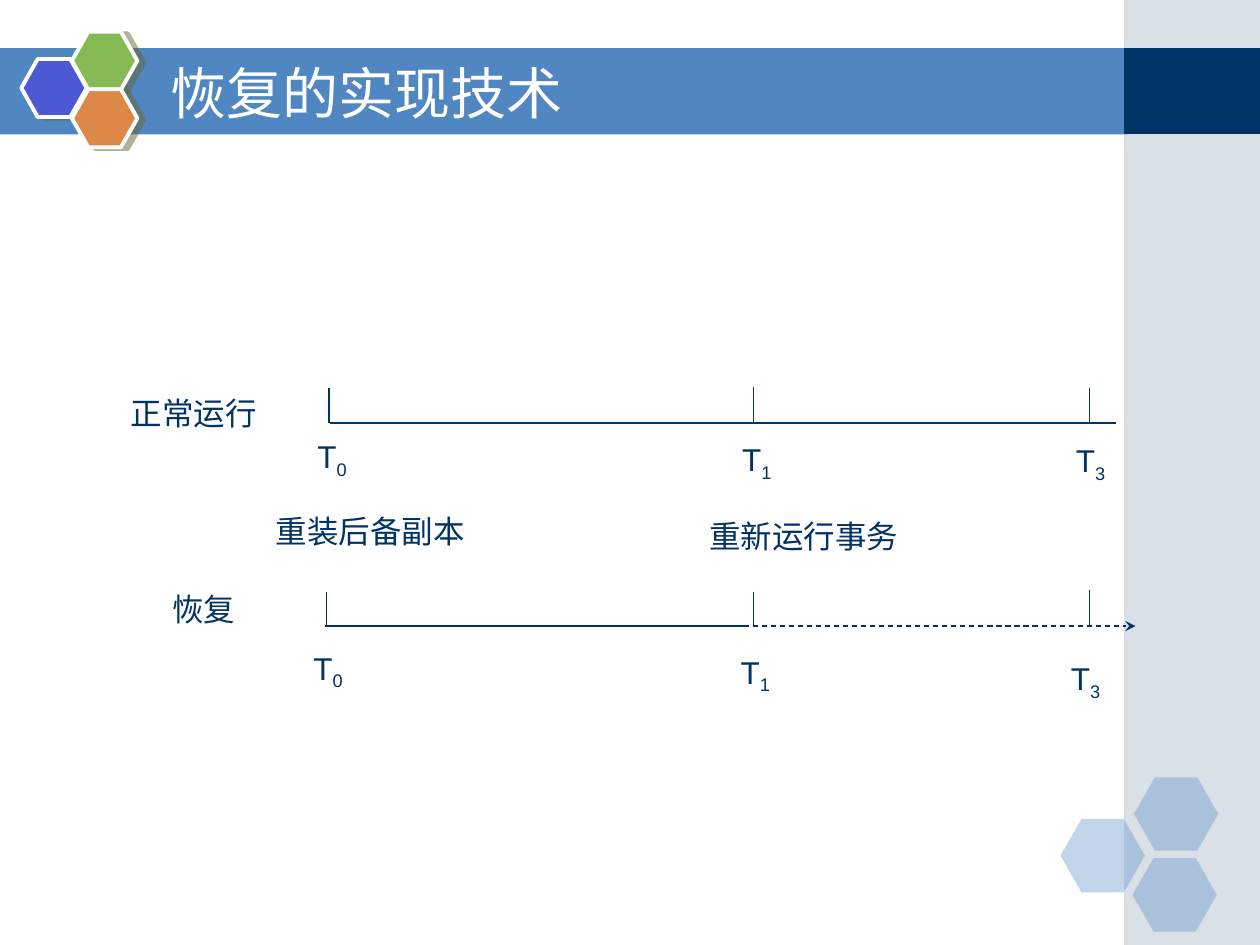
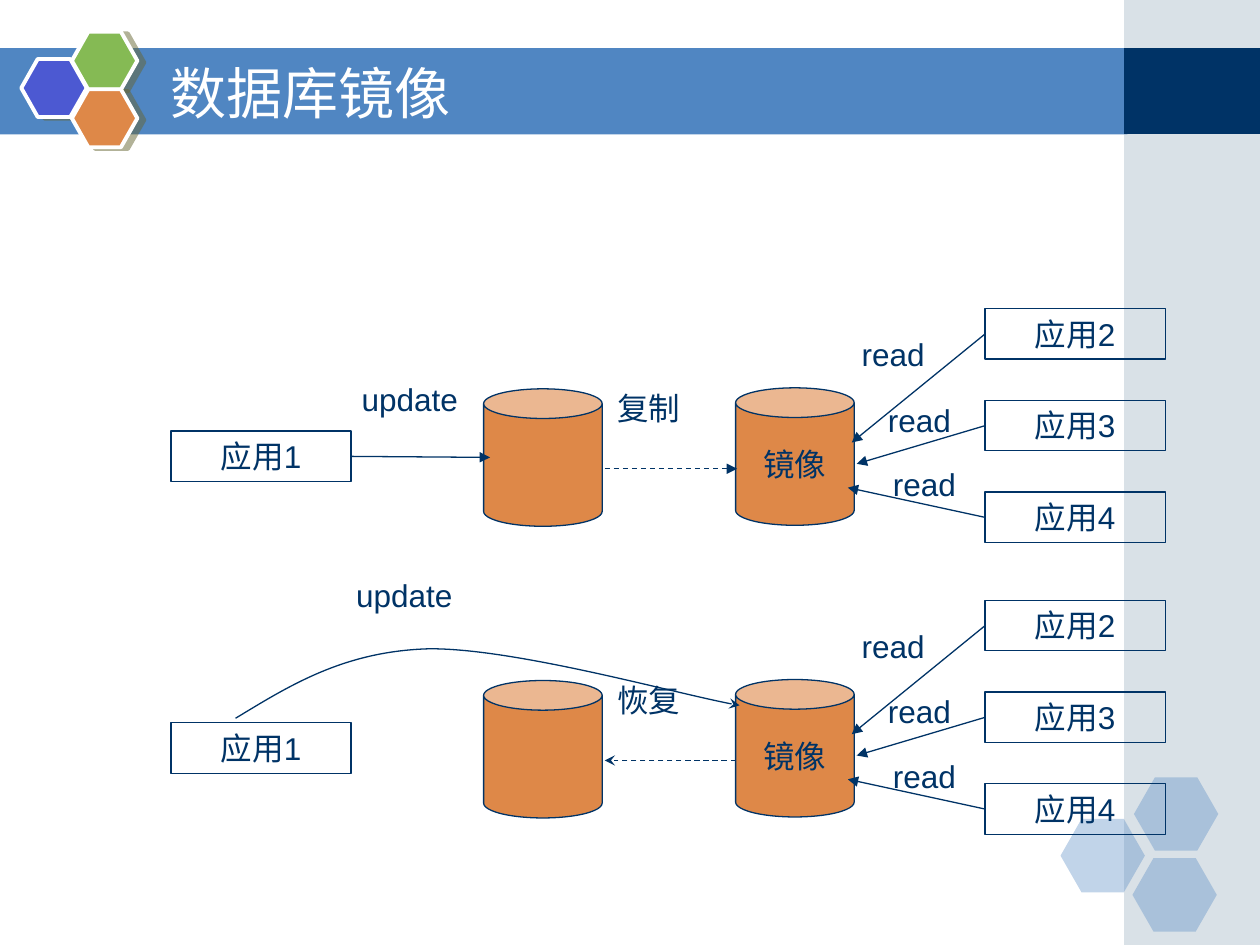
import lxml.etree
import pptx
import pptx.dml.color
import pptx.enum.dml
import pptx.enum.shapes
import pptx.enum.text
import pptx.oxml.ns
import pptx.util

Cm = pptx.util.Cm
Pt = pptx.util.Pt
qn = pptx.oxml.ns.qn
rgb = pptx.dml.color.RGBColor.from_string
SHAPE = pptx.enum.shapes.MSO_SHAPE
STRAIGHT = pptx.enum.shapes.MSO_CONNECTOR.STRAIGHT
ALIGN = pptx.enum.text.PP_ALIGN
ANCHOR = pptx.enum.text.MSO_ANCHOR


class Theme:
    navy = "003366"
    blue = "5086C2"
    mist = "A0B5C4"
    white = "FFFFFF"
    violet = "4C59D2"
    green = "85BA54"
    orange = "DE8848"
    shadow = "666633"
    title_font = "DejaVu Sans"
    body_font = "Arial"
    title_size = Pt(32)
    body_size = Pt(18)
    thin = Pt(0.75)
    thick = Pt(2.25)


def add_block(slide, kind, box, text="", fill=None, opacity=100, outline=None,
              weight=Theme.thin, align=ALIGN.LEFT, anchor=ANCHOR.TOP, subscript=""):
    """Add a preset shape, or a text box if kind is None; box is in centimetres."""
    place = [Cm(length) for length in box]
    if kind is None:
        block = slide.shapes.add_textbox(*place)
    else:
        block = slide.shapes.add_shape(kind, *place)
        block.shadow.inherit = False
        block.fill.background()
        block.line.fill.background()
    if fill:
        block.fill.solid()
        block.fill.fore_color.rgb = rgb(fill)
        if opacity < 100:
            color = block._element.spPr.find(qn("a:solidFill"))[0]
            lxml.etree.SubElement(color, qn("a:alpha"), val=str(opacity * 1000))
    if outline:
        block.line.color.rgb = rgb(outline)
        block.line.width = weight
    if text:
        block.text_frame.word_wrap = True
        block.text_frame.vertical_anchor = anchor
        block.text_frame.text = text
        paragraph = block.text_frame.paragraphs[0]
        paragraph.alignment = align
        if subscript:
            index = paragraph.add_run()
            index.text = subscript
            index._r.get_or_add_rPr().set("baseline", "-25000")
        for run in paragraph.runs:
            run.font.name = Theme.body_font
            run.font.size = Theme.body_size
            run.font.color.rgb = rgb(Theme.navy)
    return block


def style_stroke(stroke, arrow=None, dashed=False):
    """Give a connector or an open freeform the thin navy line, without shadow."""
    stroke.line.color.rgb = rgb(Theme.navy)
    stroke.line.width = Theme.thin
    if dashed:
        stroke.line.dash_style = pptx.enum.dml.MSO_LINE.DASH
    properties = stroke._element.spPr
    if arrow:
        lxml.etree.SubElement(properties.find(qn("a:ln")), qn("a:tailEnd"), type=arrow)
    lxml.etree.SubElement(properties, qn("a:effectLst"))


deck = pptx.Presentation()
deck.slide_width = Cm(25.4)
deck.slide_height = Cm(19.05)
blank = deck.slide_layouts[6]
recovery = deck.slides.add_slide(blank)
mirroring = deck.slides.add_slide(blank)

# Shared decoration, drawn once and moved to the layout
decoration = [
    add_block(recovery, SHAPE.RECTANGLE, (0, 0.97, 22.73, 1.74), fill=Theme.blue),
    add_block(recovery, SHAPE.RECTANGLE, (22.66, 0, 2.74, 19.05), fill=Theme.mist, opacity=40),
    add_block(recovery, SHAPE.RECTANGLE, (22.66, 0.97, 2.74, 1.73), fill=Theme.navy),
]
for left, top in [(21.38, 16.51), (22.86, 15.67), (22.83, 17.3)]:
    pale_cell = add_block(recovery, SHAPE.HEXAGON, (left, top, 1.7, 1.48),
                          fill=Theme.blue, opacity=35)
    pale_cell.adjustments[0] = 0.286
    decoration.append(pale_cell)
for left, top, color in [(0.43, 1.19, Theme.violet), (1.45, 0.64, Theme.green),
                         (1.45, 1.8, Theme.orange)]:
    bright_cell = add_block(recovery, SHAPE.HEXAGON, (left, top, 1.32, 1.17), fill=color,
                            outline=Theme.white, weight=Theme.thick)
    bright_cell.adjustments[0] = 0.283
    effects = bright_cell._element.spPr.find(qn("a:effectLst"))
    cast = lxml.etree.SubElement(effects, qn("a:outerShdw"), dist=str(Pt(4.1)),
                                 dir=str(14 * 60000), algn="ctr", rotWithShape="0")
    tint = lxml.etree.SubElement(cast, qn("a:srgbClr"), val=Theme.shadow)
    lxml.etree.SubElement(tint, qn("a:alpha"), val="50000")
    decoration.append(bright_cell)
for part in decoration:
    blank.shapes._spTree.append(part._element)

# Titles
for slide, heading in [(recovery, "恢复的实现技术"), (mirroring, "数据库镜像")]:
    title = add_block(slide, None, (3.18, 1.07, 18.62, 1.57), heading, anchor=ANCHOR.MIDDLE)
    title_font = title.text_frame.paragraphs[0].runs[0].font
    title_font.name = Theme.title_font
    title_font.size = Theme.title_size
    title_font.color.rgb = rgb(Theme.white)

# Recovery: two timelines, each with its ticks and moments
timelines = [  # start, end, height, arrow, dashed
    (6.65, 22.5, 8.53, None, False),
    (6.55, 14.99, 12.62, None, False),
    (14.99, 22.89, 12.62, "stealth", True),
]
for start, end, height, arrow, dashed in timelines:
    axis = recovery.shapes.add_connector(STRAIGHT, Cm(start), Cm(height), Cm(end), Cm(height))
    style_stroke(axis, arrow, dashed)

moments = [  # tick left and top, label left and top, index
    (6.63, 7.82, 6.15, 8.69, "0"),
    (15.19, 7.8, 14.71, 8.74, "1"),
    (21.97, 7.82, 21.44, 8.76, "3"),
    (6.58, 11.94, 6.07, 12.95, "0"),
    (15.19, 11.94, 14.68, 13.03, "1"),
    (21.97, 11.89, 21.34, 13.16, "3"),
]
for tick_left, tick_top, label_left, label_top, index in moments:
    tick = recovery.shapes.add_connector(STRAIGHT, Cm(tick_left), Cm(tick_top),
                                         Cm(tick_left), Cm(tick_top + 0.71))
    style_stroke(tick)
    add_block(recovery, None, (label_left, label_top, 1.88, 1.12), "T", subscript=index)

for left, top, width, caption, align in [
    (2.39, 7.82, 3.99, "正常运行", ALIGN.LEFT),
    (2.11, 11.76, 3.99, "恢复", ALIGN.CENTER),
    (5.31, 10.19, 5.89, "重装后备副本", ALIGN.LEFT),
    (14.05, 10.29, 5.89, "重新运行事务", ALIGN.LEFT),
]:
    add_block(recovery, None, (left, top, width, 1.02), caption, align=align)

# Mirroring: normal work above, recovery from the mirror below
application = {"outline": Theme.navy, "align": ALIGN.CENTER}
disk = {"fill": Theme.orange, "outline": Theme.navy, "align": ALIGN.CENTER,
        "anchor": ANCHOR.MIDDLE}
readers = [  # arrow end, label place
    (17.17, 8.92, 17.12, 6.63),
    (17.27, 9.35, 17.65, 7.95),
    (17.09, 9.83, 17.75, 9.25),
]
scenes = [  # drop, transfer, its start, end and arrow, place of the update label
    (0, "复制", 12.19, 14.86, "triangle", 7.04, 7.54),
    (5.88, "恢复", 14.83, 12.19, "stealth", 6.93, 11.48),
]
writers = []
for drop, transfer, start, end, arrow, update_left, update_top in scenes:
    writers.append(add_block(mirroring, SHAPE.RECTANGLE, (3.45, 8.69 + drop, 3.63, 1.02),
                             "应用1", **application))
    add_block(mirroring, SHAPE.CAN, (9.75, 7.84 + drop, 2.39, 2.77), **disk)
    mirror = add_block(mirroring, SHAPE.CAN, (14.83, 7.82 + drop, 2.39, 2.77), "镜像", **disk)
    mirror.text_frame.word_wrap = False

    for row, (end_x, end_y, label_left, label_top) in enumerate(readers):
        reader = add_block(mirroring, SHAPE.RECTANGLE,
                           (19.86, 6.22 + drop + 1.85 * row, 3.63, 1.02),
                           f"应用{row + 2}", **application)
        read = mirroring.shapes.add_connector(STRAIGHT, reader.left, reader.top,
                                              Cm(end_x), Cm(end_y + drop))
        read.begin_connect(reader, 1)
        style_stroke(read, "triangle")
        add_block(mirroring, None, (label_left, label_top + drop, 2.11, 1.02), "read")

    copying = mirroring.shapes.add_connector(STRAIGHT, Cm(start), Cm(9.45 + drop),
                                             Cm(end), Cm(9.45 + drop))
    style_stroke(copying, arrow, dashed=True)
    add_block(mirroring, None, (12.19, 7.72 + drop, 2.49, 1.02), transfer)
    add_block(mirroring, None, (update_left, update_top, 3.12, 1.02), "update")

update = mirroring.shapes.add_connector(STRAIGHT, Cm(7.08), Cm(9.2), Cm(9.88), Cm(9.22))
update.begin_connect(writers[0], 3)
style_stroke(update, "triangle")

# The rerouted update: each three points after the start make one Bézier segment
bends = [(5.84, 13.82), (6.93, 13.13), (8.64, 13.08),
         (10.34, 13.06), (13.87, 14.05), (14.91, 14.22)]
outline = mirroring.shapes.build_freeform(Cm(4.75), Cm(14.48))
outline.add_line_segments([(Cm(x), Cm(y)) for x, y in bends], close=False)
detour = outline.convert_to_shape()
detour.fill.background()
steps = detour._element.xpath(".//a:lnTo")
track = steps[0].getparent()
for first in range(0, len(steps), 3):
    bezier = lxml.etree.SubElement(track, qn("a:cubicBezTo"))
    for step in steps[first:first + 3]:
        bezier.append(step[0])
        track.remove(step)
style_stroke(detour, "stealth")

deck.save("out.pptx")
